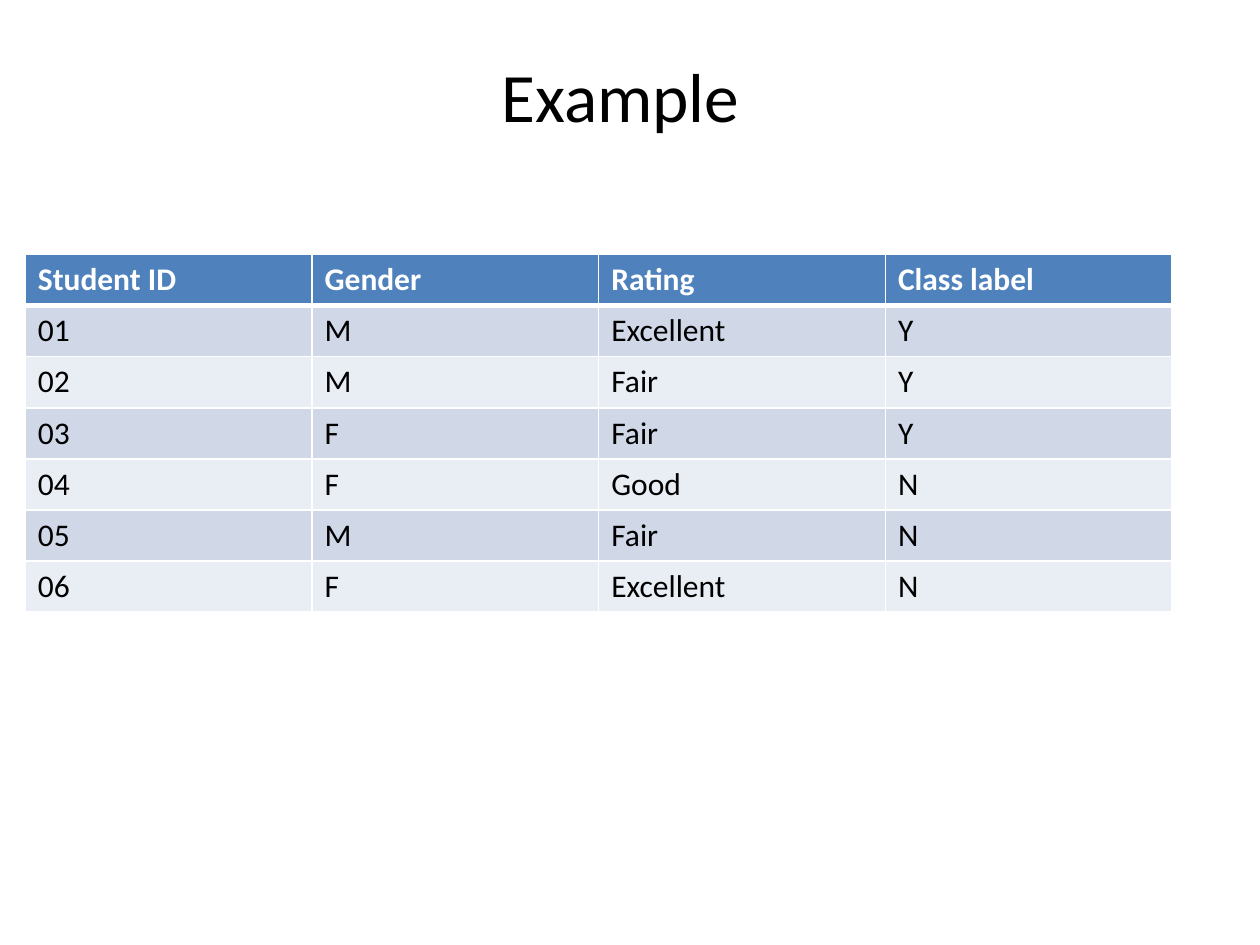
import pptx
import pptx.util
import pptx.dml.color
import pptx.enum.text
import lxml.etree
from pptx.util import Cm, Pt

# Content
TITLE = "Example"
HEAD = ["Student ID", "Gender", "Rating", "Class label"]
ROWS = [
    ("01", "M", "Excellent", "Y"),
    ("02", "M", "Fair", "Y"),
    ("03", "F", "Fair", "Y"),
    ("04", "F", "Good", "N"),
    ("05", "M", "Fair", "N"),
    ("06", "F", "Excellent", "N"),
]

# Formats
BLUE, BANDS = "4F81BD", ("D0D8E8", "E9EDF4")
WHITE, BLACK = "FFFFFF", "000000"
TOP = {"name": "Calibri", "size": Pt(39.6), "bold": False}
BOLD = {"name": "Calibri", "size": Pt(18), "bold": True}
BODY = {**BOLD, "bold": False}
COL, ROW = 5.78, 1.03
NS = "http://schemas.openxmlformats.org/drawingml/2006/main"


def paint(part, color):
    part.rgb = pptx.dml.color.RGBColor.from_string(color)


def style(font, form, color):
    for key, value in form.items():
        setattr(font, key, value)
    paint(font.color, color)


def edge(cell, widths):
    props = cell._tc.get_or_add_tcPr()
    for side, width in widths.items():
        line = lxml.etree.SubElement(props, f"{{{NS}}}ln{side}", w=str(Pt(width)))
        fill = lxml.etree.SubElement(line, f"{{{NS}}}solidFill")
        lxml.etree.SubElement(fill, f"{{{NS}}}srgbClr", val=WHITE)


def place(shape, left, top, width, height):
    shape.left, shape.top = Cm(left), Cm(top)
    shape.width, shape.height = Cm(width), Cm(height)


def main():
    deck = pptx.Presentation()
    deck.slide_width, deck.slide_height = Cm(25.4), Cm(19.05)
    slide = deck.slides.add_slide(deck.slide_layouts[5])

    # Title
    title = slide.shapes.title
    place(title, 0.84, 1.07, 23.34, 1.7)
    frame = title.text_frame
    frame.text = TITLE
    frame.auto_size = pptx.enum.text.MSO_AUTO_SIZE.NONE
    frame.vertical_anchor = pptx.enum.text.MSO_ANCHOR.MIDDLE
    frame.paragraphs[0].alignment = pptx.enum.text.PP_ALIGN.CENTER
    style(frame.paragraphs[0].runs[0].font, TOP, BLACK)

    # Table
    lines = [HEAD, *ROWS]
    table = slide.shapes.add_table(
        len(lines), len(HEAD), Cm(0.51), Cm(5.13),
        Cm(COL * len(HEAD)), Cm(ROW * len(lines))).table
    for col in table.columns:
        col.width = Cm(COL)
    for i, line in enumerate(lines):
        table.rows[i].height = Cm(ROW)
        for j, text in enumerate(line):
            cell = table.cell(i, j)
            cell.text = text
            edge(cell, {"L": 1, "R": 1, "T": 3 if i == 1 else 1,
                        "B": 3 if i == 0 else 1})
            cell.fill.solid()
            paint(cell.fill.fore_color, BANDS[(i - 1) % 2] if i else BLUE)
            font = cell.text_frame.paragraphs[0].runs[0].font
            style(font, BODY if i else BOLD, BLACK if i else WHITE)

    deck.save("out.pptx")


if __name__ == "__main__":
    main()
